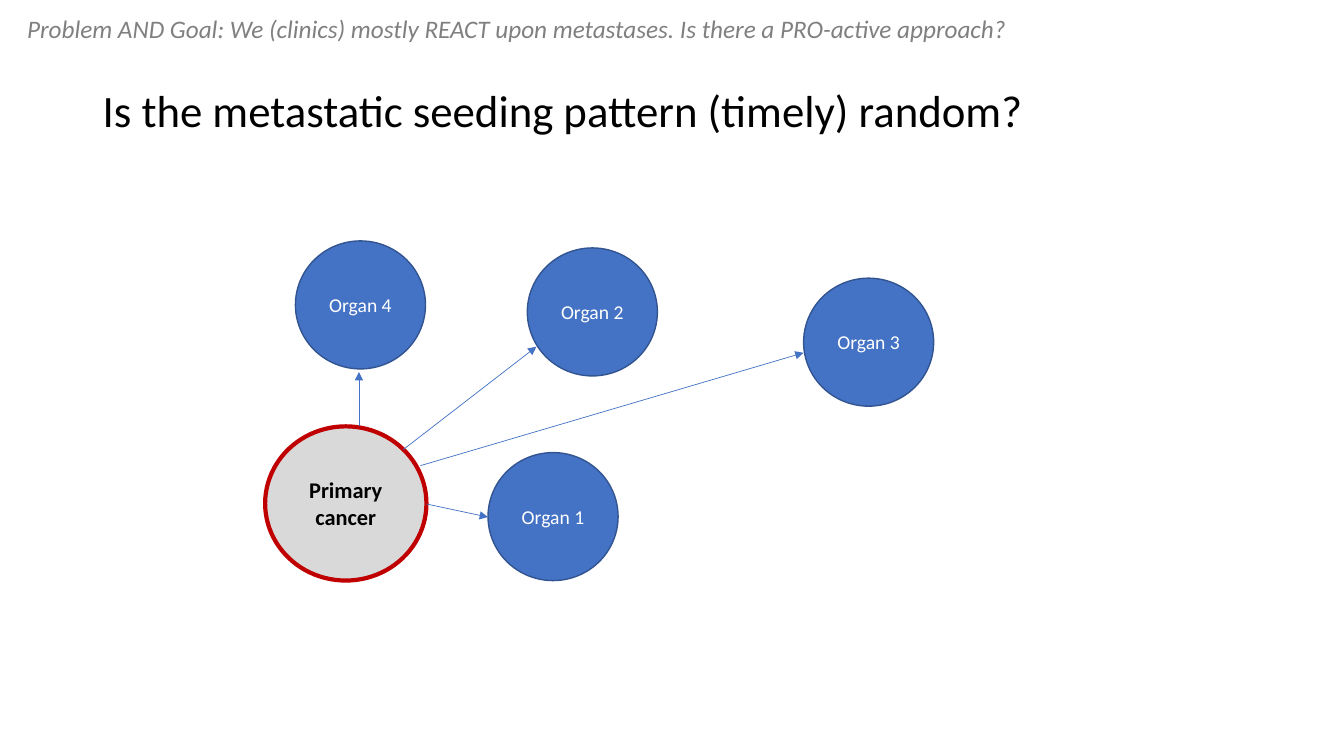
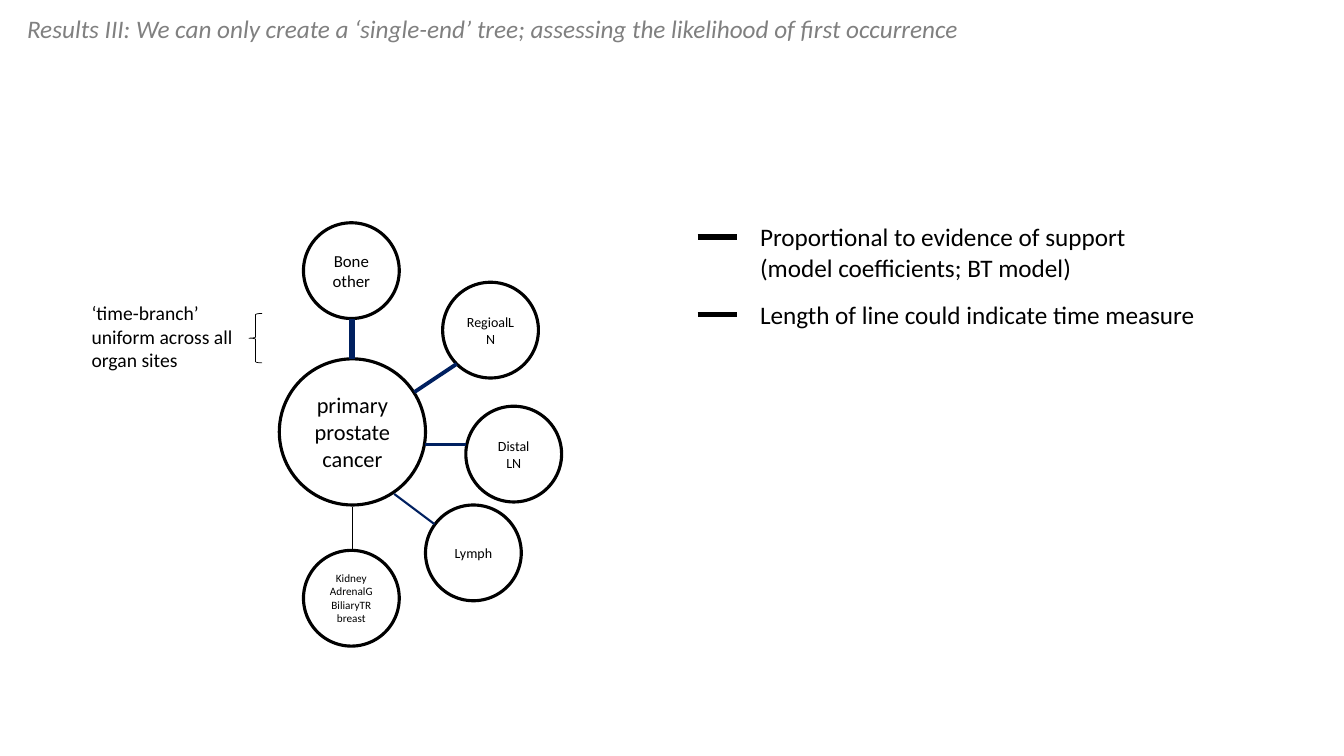
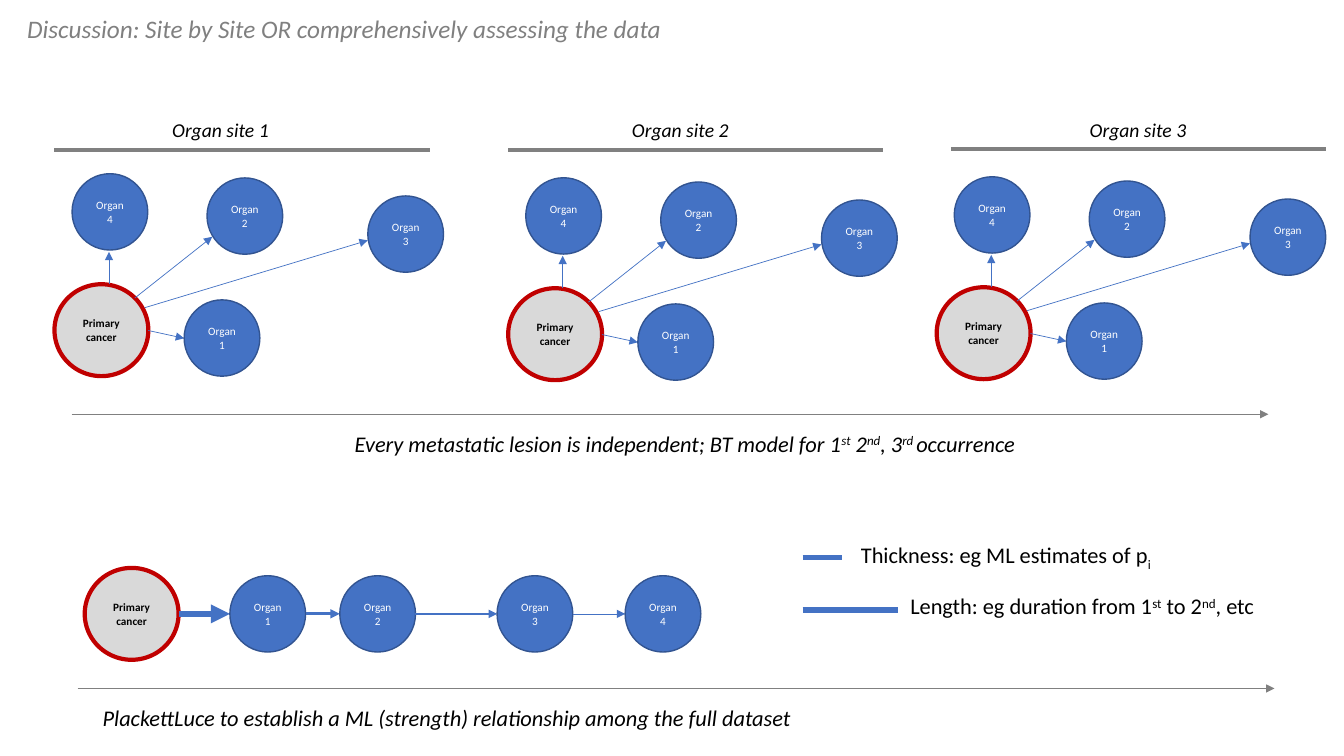
"""Build three slides on metastatic seeding patterns."""
from dataclasses import dataclass

from lxml.etree import SubElement
from pptx import Presentation
from pptx.dml.color import RGBColor
from pptx.enum.shapes import MSO_CONNECTOR as Connector, MSO_SHAPE as Preset
from pptx.enum.text import MSO_ANCHOR as Anchor, MSO_AUTO_SIZE as AutoSize, PP_ALIGN as Align
from pptx.oxml.ns import qn
from pptx.util import Inches, Pt


@dataclass(frozen=True)
class Theme:
    """Colours, font and type sizes shared by all slides."""
    font: str = "Calibri"
    black: str = "000000"
    white: str = "FFFFFF"
    gray: str = "808080"
    light_gray: str = "D9D9D9"
    red: str = "C00000"
    blue: str = "4472C4"
    edge_blue: str = "325491"
    navy: str = "002060"
    title: int = 32
    heading: int = 18
    body: int = 16
    label: int = 14
    small: int = 12
    node: int = 10
    tiny: int = 8


@dataclass(frozen=True)
class NodeStyle:
    """Fill, outline and text look of a round node."""
    fill: str
    edge: str
    edge_width: float
    color: str
    bold: bool = False


THEME = Theme()
PRIMARY = NodeStyle(THEME.light_gray, THEME.red, 3, THEME.black, True)
ORGAN = NodeStyle(THEME.blue, THEME.edge_blue, 1, THEME.white)
OUTLINE = NodeStyle("", THEME.black, 2.25, THEME.black)

PRIMARY_SIZE = (1.6, 1.53)
ORGAN_SIZE = (1.29, 1.27)
ORGAN_OFFSETS = {
    "Organ 2": (2.6, -1.77),
    "Organ 1": (2.21, 0.26),
    "Organ 4": (0.3, -1.84),
    "Organ 3": (5.34, -1.47),
}
ARROW_OFFSETS = (
    ((1.37, 0.23), (2.69, -0.79)),
    ((1.6, 0.77), (2.21, 0.9)),
    ((0.93, 0), (0.93, -0.54)),
    ((1.54, 0.39), (5.34, -0.73)),
)
SMALL_SCALE = (0.582, 0.596)


def scaled(pair, scale):
    """Multiply a pair by horizontal and vertical factors."""
    return pair[0] * scale[0], pair[1] * scale[1]


def write(frame, lines, size, color, bold=False, italic=False, align=Align.LEFT):
    """Fill a text frame; a line is a string or a list of (text, baseline) runs."""
    for index, line in enumerate(lines):
        para = frame.paragraphs[0] if index == 0 else frame.add_paragraph()
        para.alignment = align
        for text, baseline in [(line, 0)] if isinstance(line, str) else line:
            span = para.add_run()
            span.text = text
            font = span.font
            font.name, font.size = THEME.font, Pt(size)
            font.bold, font.italic = bold, italic
            font.color.rgb = RGBColor.from_string(color)
            if baseline:
                span._r.get_or_add_rPr().set("baseline", str(baseline * 1000))


def add_text(shapes, at, lines, size, color=THEME.black, italic=False):
    """Add an unwrapped text box that fits its text."""
    box = shapes.add_textbox(*map(Inches, at))
    box.text_frame.word_wrap = False
    box.text_frame.auto_size = AutoSize.SHAPE_TO_FIT_TEXT
    write(box.text_frame, lines, size, color, italic=italic)


def add_heading(page, text, width):
    """Add the grey running heading at the top of a slide."""
    add_text(page.shapes, (0.17, 0.08, width, 0.4), [text], THEME.heading, THEME.gray, True)


def add_title(page, text):
    """Add the large slide title."""
    box = page.shapes.add_textbox(*map(Inches, (0.92, 0.4, 11.5, 1.45)))
    box.text_frame.word_wrap = True
    box.text_frame.vertical_anchor = Anchor.MIDDLE
    write(box.text_frame, [text], THEME.title, THEME.black)
    box.text_frame.paragraphs[0].line_spacing = 0.9


def add_outlined(shapes, preset, at, fill, edge, width):
    """Add a preset shape without shadow; an empty fill means none."""
    shape = shapes.add_shape(preset, *map(Inches, at))
    shape.shadow.inherit = False
    if fill:
        shape.fill.solid()
        shape.fill.fore_color.rgb = RGBColor.from_string(fill)
    else:
        shape.fill.background()
    shape.line.color.rgb = RGBColor.from_string(edge)
    shape.line.width = Pt(width)
    return shape


def add_node(shapes, at, lines, size, style):
    """Add a round node with centred text."""
    node = add_outlined(shapes, Preset.OVAL, at, style.fill, style.edge, style.edge_width)
    frame = node.text_frame
    frame.word_wrap = True
    frame.vertical_anchor = Anchor.MIDDLE
    write(frame, lines, size, style.color, style.bold, align=Align.CENTER)


def add_line(shapes, start, end, color, width, arrow=False):
    """Add a straight line, with an arrowhead at its end if asked."""
    line = shapes.add_connector(Connector.STRAIGHT, *map(Inches, (*start, *end)))
    line.line.color.rgb = RGBColor.from_string(color)
    line.line.width = Pt(width)
    if arrow:
        SubElement(line.line._get_or_add_ln(), qn("a:tailEnd"), type="triangle")
    SubElement(line._element.spPr, qn("a:effectLst"))


def add_seeding(shapes, left, top, scale, primary_size, organ_size):
    """Add a primary cancer with arrows to four organs."""
    def place(offset):
        """Turn an offset from the primary cancer into a slide position."""
        across, down = scaled(offset, scale)
        return left + across, top + down

    add_node(shapes, (left, top, *scaled(PRIMARY_SIZE, scale)),
             ["Primary cancer"], primary_size, PRIMARY)
    for start, end in ARROW_OFFSETS:
        add_line(shapes, place(start), place(end), THEME.blue, 0.5, True)
    for name, offset in ORGAN_OFFSETS.items():
        add_node(shapes, (*place(offset), *scaled(ORGAN_SIZE, scale)),
                 [name], organ_size, ORGAN)


def add_chain(shapes):
    """Add the primary cancer followed by organs in order of occurrence."""
    width, height = scaled(PRIMARY_SIZE, SMALL_SCALE)
    organ_width, organ_height = scaled(ORGAN_SIZE, SMALL_SCALE)
    left, middle = 0.84, 6.09
    add_node(shapes, (left, middle - height / 2, width, height),
             ["Primary cancer"], THEME.tiny, PRIMARY)
    end = left + width
    steps = ((2.28, 4.5), (3.37, 2.25), (4.93, 1), (6.2, 0.25))
    for number, (left, thickness) in enumerate(steps, 1):
        add_line(shapes, (end, middle), (left, middle), THEME.blue, thickness, True)
        add_node(shapes, (left, middle - organ_height / 2, organ_width, organ_height),
                 [f"Organ {number}"], THEME.tiny, ORGAN)
        end = left + organ_width


def build_question(page):
    """Build the slide asking whether seeding is random."""
    add_title(page, "Is the metastatic seeding pattern (timely) random?")
    add_seeding(page.shapes, 2.63, 4.23, (1, 1), THEME.body, THEME.label)
    add_heading(page, "Problem AND Goal: We (clinics) mostly REACT upon metastases. "
                      "Is there a PRO-active approach?", 10.02)


def build_tree(page):
    """Build the slide with the single-end tree."""
    shapes = page.shapes
    add_node(shapes, (2.77, 3.56, 1.45, 1.45), ["primary prostate cancer"], THEME.body, OUTLINE)
    sites = (
        (3.01, 2.21, ["Bone", "other"], THEME.small),
        (4.39, 2.8, ["RegioalLN"], THEME.node),
        (4.62, 4.03, ["Distal LN"], THEME.node),
        (4.22, 5.01, ["Lymph"], THEME.node),
        (3.01, 5.46, ["Kidney", "AdrenalG", "BiliaryTR", "breast"], THEME.tiny),
    )
    for left, top, lines, size in sites:
        add_node(shapes, (left, top, 0.95, 0.95), lines, size, OUTLINE)
    branches = (
        ((3.49, 3.56), (3.49, 3.16), THEME.navy, 4),
        ((4.11, 3.89), (4.53, 3.61), THEME.navy, 2.75),
        ((4.22, 4.41), (4.62, 4.41), THEME.navy, 2),
        ((3.91, 4.9), (4.31, 5.2), THEME.navy, 1.5),
        ((3.49, 5.03), (3.49, 5.46), THEME.black, 0.25),
    )
    for branch in branches:
        add_line(shapes, *branch)
    legend = (
        (2.35, 3.87, 0.71, ["Proportional to evidence of support",
                            "(model coefficients; BT model)"]),
        (3.12, 4.57, 0.4, ["Length of line could indicate time measure"]),
    )
    for middle, width, height, lines in legend:
        add_line(shapes, (6.92, middle), (7.31, middle), THEME.black, 4)
        add_text(shapes, (7.44, middle - 0.2, width, height), lines, THEME.heading)
    add_outlined(shapes, Preset.LEFT_BRACE, (2.47, 3.11, 0.13, 0.49), "", THEME.black, 0.5)
    add_text(shapes, (0.81, 2.94, 1.61, 0.81),
             ["‘time-branch’", "uniform across all", "organ sites"], THEME.label)
    add_heading(page, "Results III: We can only create a ‘single-end’ tree; "
                      "assessing the likelihood of first occurrence", 9.54)


def build_comparison(page):
    """Build the slide comparing site by site with the full dataset."""
    shapes = page.shapes
    sites = (
        (0.54, 2.82, 0.54, 1.49, 1.61),
        (5.04, 2.86, 5.04, 1.49, 6.17),
        (9.29, 2.85, 9.43, 1.48, 10.71),
    )
    for number, (left, top, bar_left, bar_top, label_left) in enumerate(sites, 1):
        add_seeding(shapes.add_group_shape().shapes, left, top, SMALL_SCALE,
                    THEME.tiny, THEME.tiny)
        add_line(shapes, (bar_left, bar_top), (bar_left + 3.72, bar_top), THEME.gray, 3)
        add_text(shapes, (label_left, 1.12, 1.17, 0.34), [f"Organ site {number}"],
                 THEME.label, italic=True)
    add_chain(shapes.add_group_shape().shapes)
    for left, top in ((0.71, 4.11), (0.77, 6.83)):
        add_line(shapes, (left, top), (left + 11.87, top), THEME.gray, 1, True)
    independent = [("Every metastatic lesion is independent; BT model for 1", 0), ("st", 30),
                   (" 2", 0), ("nd", 30), (", 3", 0), ("rd ", 30), ("occurrence", 0)]
    add_text(shapes, (3.42, 4.22, 6.97, 0.37), [independent], THEME.body, italic=True)
    add_text(shapes, (0.92, 6.94, 7.13, 0.37),
             ["PlackettLuce to establish a ML (strength) relationship among the full dataset"],
             THEME.body, italic=True)
    legend = (
        (5.53, 8.35, (8.44, 5.32, 3.12, 0.37),
         [("Thickness: eg ML estimates of p", 0), ("i", -25)]),
        (6.05, 8.91, (8.93, 5.83, 3.69, 0.37),
         [("Length: eg duration from 1", 0), ("st", 30), (" to 2", 0), ("nd", 30), (", etc", 0)]),
    )
    for middle, end, at, spans in legend:
        add_line(shapes, (7.96, middle), (end, middle), THEME.blue, 4)
        add_text(shapes, at, [spans], THEME.body)
    add_heading(page, "Discussion: Site by Site OR comprehensively assessing the data", 6.56)


def main():
    """Build and save the deck."""
    deck = Presentation()
    deck.slide_width, deck.slide_height = Inches(13.33), Inches(7.5)
    for build in (build_question, build_tree, build_comparison):
        build(deck.slides.add_slide(deck.slide_layouts[6]))
    deck.save("out.pptx")


if __name__ == "__main__":
    main()
